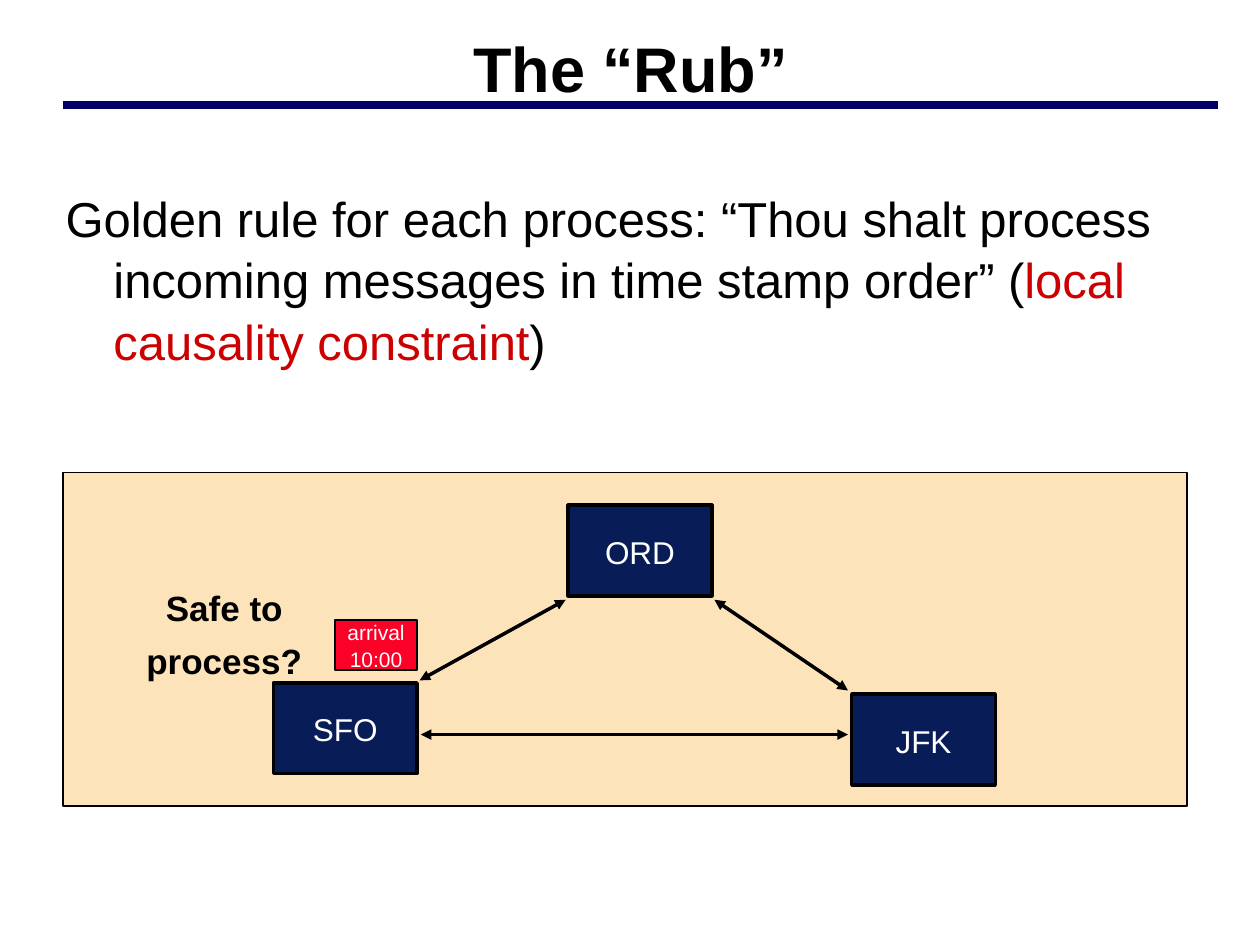
import dataclasses

import pptx
import pptx.dml.color
import pptx.enum.shapes
import pptx.enum.text
import pptx.oxml
import pptx.oxml.ns
import pptx.util

Inches = pptx.util.Inches
Pt = pptx.util.Pt
ANCHOR = pptx.enum.text.MSO_ANCHOR
ALIGN = pptx.enum.text.PP_ALIGN


@dataclasses.dataclass(frozen=True)
class Theme:
    font: str = "Arial"
    ink: str = "000000"
    rule: str = "000066"
    accent: str = "CC0000"
    panel: str = "FDE3BA"
    airport: str = "081D58"
    event: str = "FC0128"
    light: str = "FFFFFF"
    title_size: int = 36
    body_size: int = 28
    label_size: int = 20
    airport_size: int = 18
    event_size: int = 12
    line_spacing: float = 1.05


THEME = Theme()


def color(value):
    return pptx.dml.color.RGBColor.from_string(value)


def place(box, left, top, width, height):
    box.left, box.top = Inches(left), Inches(top)
    box.width, box.height = Inches(width), Inches(height)


def style_text(box, size, ink, bold=False, align=ALIGN.CENTER, anchor=ANCHOR.MIDDLE, wrap=True):
    frame = box.text_frame
    frame.auto_size = pptx.enum.text.MSO_AUTO_SIZE.NONE
    frame.word_wrap = wrap
    frame.vertical_anchor = anchor
    for para in frame.paragraphs:
        para.alignment = align
        para.line_spacing = THEME.line_spacing
        para.space_before = Pt(0)
        for span in para.runs:
            span.font.name = THEME.font
            span.font.size = Pt(size)
            span.font.bold = bold
            span.font.color.rgb = color(ink)


def add_title(page, text):
    title = page.shapes.title
    place(title, 0.43, 0.17, 9.15, 0.7)
    title.text_frame.text = text
    style_text(title, THEME.title_size, THEME.ink, bold=True)


def add_body(page, before, highlight, after):
    body = page.placeholders[1]
    place(body, 0.42, 1.42, 9.15, 1.5)
    para = body.text_frame.paragraphs[0]
    for text in (before, highlight, after):
        para.add_run().text = text
    settings = para._p.get_or_add_pPr()
    settings.set("marL", str(Inches(0.38)))
    settings.set("indent", str(-Inches(0.38)))
    pptx.oxml.ns.qn("a:buNone")
    settings.append(pptx.oxml.parse_xml(f"<a:buNone {pptx.oxml.ns.nsdecls('a')}/>"))
    style_text(body, THEME.body_size, THEME.ink, align=ALIGN.LEFT, anchor=ANCHOR.TOP)
    para.runs[1].font.color.rgb = color(THEME.accent)


def add_line(shapes, start, end, ink, weight, arrows=False):
    line = shapes.add_connector(
        pptx.enum.shapes.MSO_CONNECTOR.STRAIGHT, *map(Inches, start + end)
    )
    line.line.color.rgb = color(ink)
    line.line.width = Pt(weight)
    names = pptx.oxml.ns.nsdecls("a")
    if arrows:
        outline = line.line._get_or_add_ln()
        for tag in ("headEnd", "tailEnd"):
            outline.append(pptx.oxml.parse_xml(f'<a:{tag} {names} type="triangle"/>'))
    line._element.spPr.append(pptx.oxml.parse_xml(f"<a:effectLst {names}/>"))


def add_box(shapes, left, top, width, height, fill, weight, text="", size=18):
    box = shapes.add_shape(
        pptx.enum.shapes.MSO_SHAPE.RECTANGLE, *map(Inches, (left, top, width, height))
    )
    box.shadow.inherit = False
    box.fill.solid()
    box.fill.fore_color.rgb = color(fill)
    box.line.color.rgb = color(THEME.ink)
    box.line.width = Pt(weight)
    if text:
        box.text_frame.text = text
        style_text(box, size, THEME.light, wrap=False)


def add_label(shapes, left, top, width, height, text):
    label = shapes.add_textbox(*map(Inches, (left, top, width, height)))
    label.text_frame.text = text
    style_text(label, THEME.label_size, THEME.ink, bold=True, anchor=ANCHOR.TOP)
    for para in label.text_frame.paragraphs[1:]:
        para.space_before = Pt(5)


def add_diagram(page):
    shapes = page.shapes.add_group_shape().shapes
    add_box(shapes, 0.5, 3.75, 8.92, 2.65, THEME.panel, 1)
    add_label(shapes, 0.99, 4.59, 1.58, 0.83, "Safe to\nprocess?")
    for name, left, top in (("ORD", 4.51, 4.01), ("SFO", 2.17, 5.42), ("JFK", 6.76, 5.51)):
        add_box(shapes, left, top, 1.14, 0.72, THEME.airport, 2, name, THEME.airport_size)
    for start, end in (
        ((5.67, 4.76), (6.73, 5.48)),
        ((4.49, 4.76), (3.33, 5.4)),
        ((3.34, 5.83), (6.73, 5.83)),
    ):
        add_line(shapes, start, end, THEME.ink, 2, arrows=True)
    add_box(shapes, 2.66, 4.92, 0.65, 0.4, THEME.event, 1, "arrival\n10:00", THEME.event_size)


def main():
    deck = pptx.Presentation()
    deck.slide_width, deck.slide_height = Inches(10), Inches(7.5)
    page = deck.slides.add_slide(deck.slide_layouts[1])
    add_line(page.shapes, (0.5, 0.83), (9.67, 0.83), THEME.rule, 4.5)
    add_title(page, "The “Rub”")
    add_body(
        page,
        "Golden rule for each process: “Thou shalt process incoming messages in time stamp order” (",
        "local causality constraint",
        ")",
    )
    add_diagram(page)
    deck.save("out.pptx")


if __name__ == "__main__":
    main()
